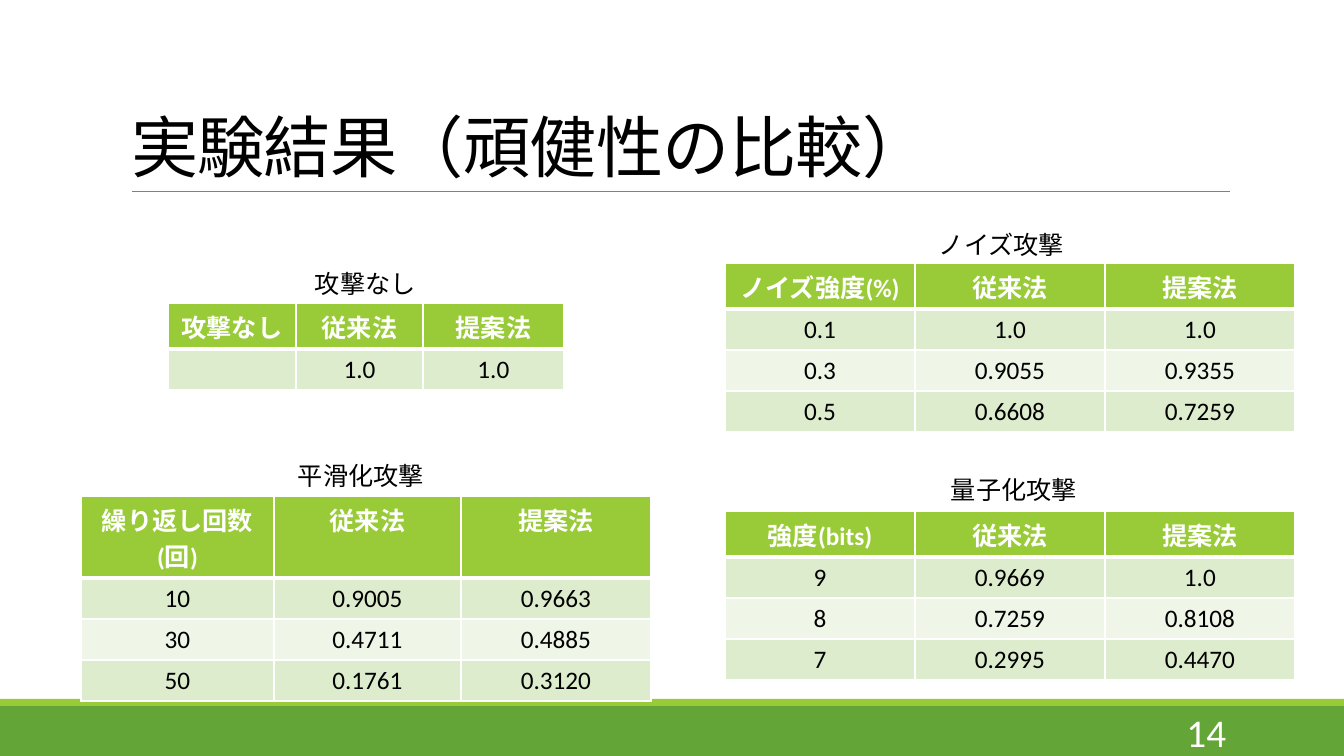
from lxml.etree import SubElement
from pptx import Presentation
from pptx.dml.color import RGBColor
from pptx.enum.shapes import MSO_CONNECTOR, MSO_SHAPE
from pptx.enum.text import MSO_ANCHOR, MSO_AUTO_SIZE, PP_ALIGN
from pptx.oxml.ns import qn
from pptx.util import Emu, Pt

GREEN = RGBColor(0x63, 0xA5, 0x37)
LIME = RGBColor(0x99, 0xCB, 0x38)
BANDS = (RGBColor(0xEF, 0xF6, 0xE8), RGBColor(0xDE, 0xEC, 0xCE))
GRAY = RGBColor(0x80, 0x80, 0x80)
BLACK = RGBColor(0, 0, 0)
WHITE = RGBColor(0xFF, 0xFF, 0xFF)
FONT = "Calibri"
WIDTH, HEIGHT = 1344, 756
ROW_HEIGHT = 41
ONE_LINE, TWO_LINES = 46, 82
METHODS = ("従来法", "提案法")


def px(*lengths):
    """Turn pixel lengths into a list of EMU."""
    return [Emu(round(length * 914400 / 100.8)) for length in lengths]


def write(frame, text, size, color, align=PP_ALIGN.LEFT, bold=False):
    """Fill a text frame with one formatted paragraph and return it."""
    para = frame.paragraphs[0]
    para.text = text
    para.alignment = align
    para.font.name = FONT
    para.font.size = Pt(size)
    para.font.bold = bold
    para.font.color.rgb = color
    return para


def add_label(page, box, text, size, color, align=PP_ALIGN.LEFT):
    """Place a text box and return its frame."""
    frame = page.shapes.add_textbox(*px(*box)).text_frame
    frame.word_wrap = True
    write(frame, text, size, color, align)
    return frame


def add_title(page, box, text):
    """Place the title, and the rule along the bottom of its box."""
    left, top, width, height = box
    title = page.shapes.title
    title.left, title.top, title.width, title.height = px(*box)
    frame = title.text_frame
    frame.auto_size = MSO_AUTO_SIZE.NONE
    frame.vertical_anchor = MSO_ANCHOR.BOTTOM
    write(frame, text, 48, BLACK).line_spacing = 0.85
    for props in title.element.iter(qn("a:defRPr")):
        props.set("spc", "-50")

    bottom = top + height
    rule = page.shapes.add_connector(
        MSO_CONNECTOR.STRAIGHT, *px(left + 11, bottom, left + width, bottom))
    rule.line.color.rgb = GRAY
    rule.line.width = Pt(0.5)
    SubElement(rule.element.spPr, qn("a:effectLst"))


def add_footer(page, box, number):
    """Draw the green footer with its lime edge and the page number."""
    left, top, width, height = box
    edge = 7
    for y, tall, color in ((top + edge, height - edge, GREEN), (top, edge, LIME)):
        band = page.shapes.add_shape(MSO_SHAPE.RECTANGLE, *px(left, y, width, tall))
        band.shadow.inherit = False
        band.fill.solid()
        band.fill.fore_color.rgb = color
        band.line.fill.background()
    frame = add_label(page, (left + width - 252, top + 13, 144, 40),
                      number, 28, WHITE, PP_ALIGN.RIGHT)
    frame.vertical_anchor = MSO_ANCHOR.MIDDLE


def set_borders(cell, top, bottom):
    """Give a cell white borders, with top and bottom widths in points."""
    props = cell._tc.get_or_add_tcPr()
    for side, points in (("L", 1), ("R", 1), ("T", top), ("B", bottom)):
        line = SubElement(props, qn(f"a:ln{side}"), w=str(Pt(points)))
        fill = SubElement(line, qn("a:solidFill"))
        SubElement(fill, qn("a:srgbClr"), val=str(WHITE))


def add_result(page, origin, widths, heading, rows, caption, caption_box,
               header_height=ONE_LINE):
    """Place a result table, and its caption relative to the table's corner."""
    left, top = origin
    heights = [header_height] + [ROW_HEIGHT] * len(rows)
    rows = [(heading, *METHODS), *rows]
    table = page.shapes.add_table(
        len(rows), len(widths),
        *px(left, top, sum(widths), sum(heights))).table
    for column, width in zip(table.columns, px(*widths)):
        column.width = width
    for row, height in zip(table.rows, px(*heights)):
        row.height = height
    for index, values in enumerate(rows):
        header = index == 0
        for cell, value in zip(table.rows[index].cells, values):
            set_borders(cell, 3 if index == 1 else 1, 3 if header else 1)
            cell.fill.solid()
            cell.fill.fore_color.rgb = LIME if header else BANDS[index % 2]
            write(cell.text_frame, value, 18, WHITE if header else BLACK,
                  PP_ALIGN.CENTER, header)

    x, y, width = caption_box
    add_label(page, (left + x, top + y, width, 40), caption, 18, BLACK)


def build_results(deck):
    """Build the page that compares robustness under each attack."""
    page = deck.slides.add_slide(deck.slide_layouts[5])
    add_footer(page, (0, 699, WIDTH, HEIGHT - 699), "14")
    add_title(page, (121, 31, 1109, 160), "実験結果（頑健性の比較）")
    add_result(page, (168, 303), (128, 127, 141), "攻撃なし",
               [("", "1.0", "1.0")],
               "攻撃なし", (137, -40, 123))
    add_result(page, (725, 263), (190, 190, 190), "ノイズ強度(%)",
               [("0.1", "1.0", "1.0"),
                ("0.3", "0.9055", "0.9355"),
                ("0.5", "0.6608", "0.7259")],
               "ノイズ攻撃", (204, -39, 164))
    add_result(page, (81, 496), (193, 187, 190), "繰り返し回数(回)",
               [("10", "0.9005", "0.9663"),
                ("30", "0.4711", "0.4885"),
                ("50", "0.1761", "0.3120")],
               "平滑化攻撃", (207, -41, 159), TWO_LINES)
    add_result(page, (725, 511), (190, 190, 190), "強度(bits)",
               [("9", "0.9669", "1.0"),
                ("8", "0.7259", "0.8108"),
                ("7", "0.2995", "0.4470")],
               "量子化攻撃", (216, -42, 161))


deck = Presentation()
deck.slide_width, deck.slide_height = px(WIDTH, HEIGHT)
build_results(deck)
deck.save("out.pptx")
